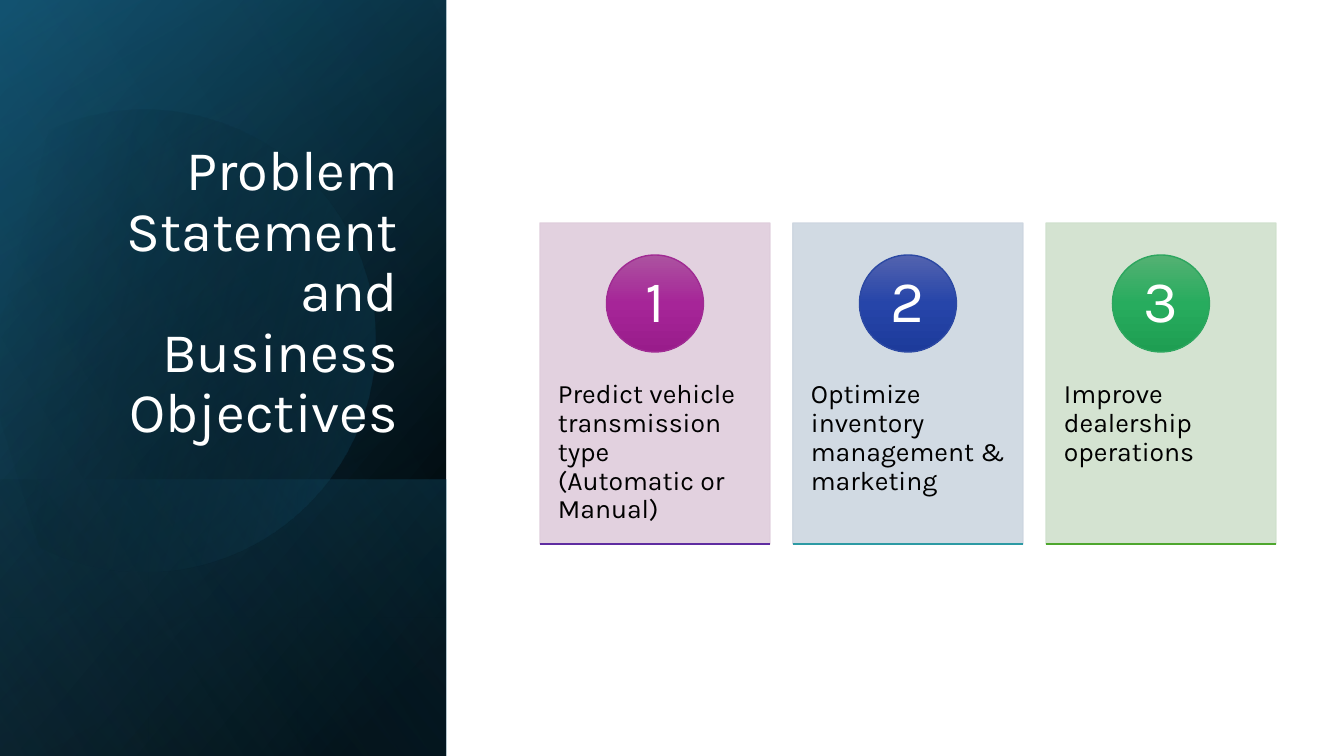
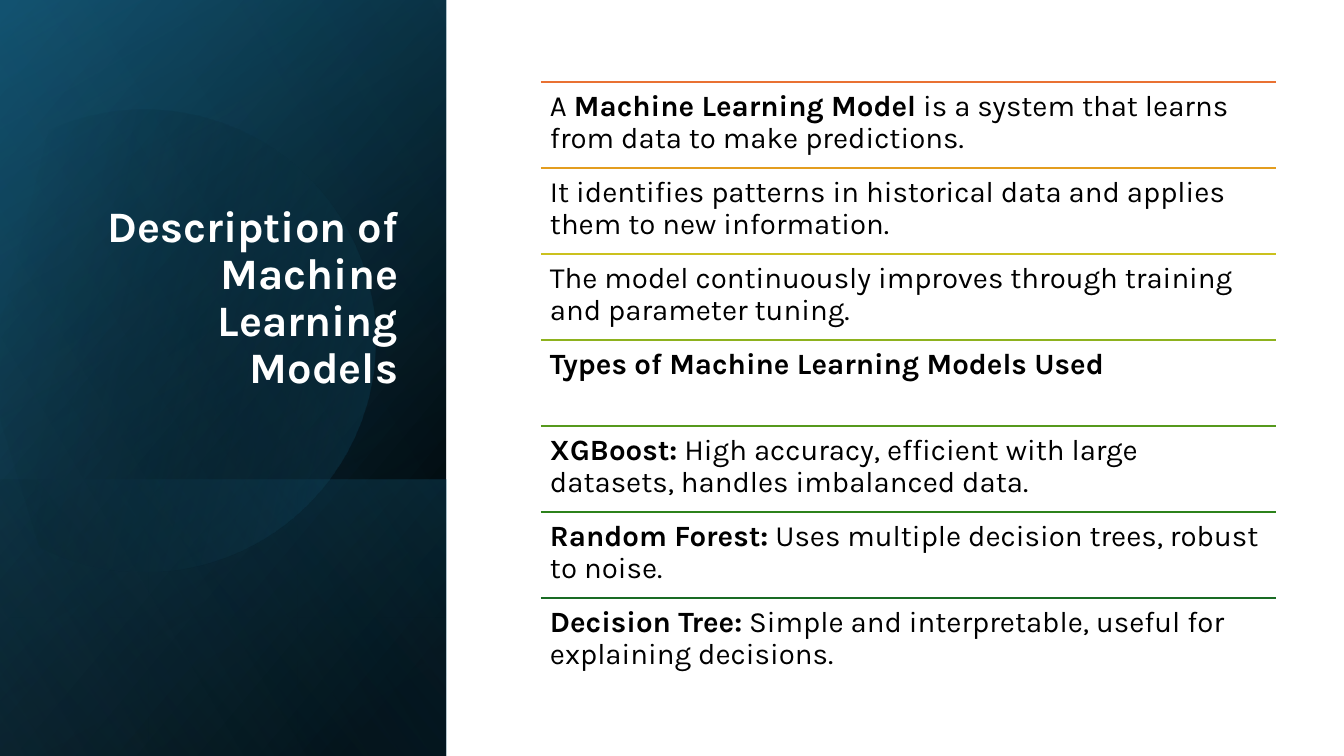
from dataclasses import dataclass

from lxml.etree import SubElement
from pptx import Presentation
from pptx.dml.color import RGBColor
from pptx.enum.shapes import MSO_CONNECTOR, MSO_SHAPE
from pptx.enum.text import MSO_ANCHOR, MSO_AUTO_SIZE, PP_ALIGN
from pptx.oxml import parse_xml
from pptx.oxml.ns import nsdecls, qn
from pptx.util import Emu, Pt

PX = 12192000 / 1344
SLIDE_WIDTH, SLIDE_HEIGHT = 1344, 756
PANEL_WIDTH = 446
TITLE_BOX = (64, 186, 344, 264)


@dataclass(frozen=True)
class Theme:
    font: str = "Karla"
    white: str = "FFFFFF"
    black: str = "000000"
    line_width: float = 1
    line_spacing: float = 0.9
    card_opacity: int = 90
    card_size: int = 19
    number_size: int = 42
    row_size: int = 21


THEME = Theme()

# Box, gradient stops (position %, colour, opacity %), angle
FULL_PANEL = (0, 0, PANEL_WIDTH, SLIDE_HEIGHT)
BASE_LAYERS = [
    (FULL_PANEL, [(8, "000000", 100), (100, "104862", 100)], 50),
    (FULL_PANEL, [(0, "000000", 0), (99, "156082", 46)], 30),
    ((0, 480, PANEL_WIDTH, 276), [(2, "156082", 29), (100, "000000", 30)], 130),
]
TOP_LAYER = (FULL_PANEL, [(0, "000000", 0), (99, "46B1E1", 11)], 120)

DISC_BOX = (-87, 110, 462, 462)
DISC_ARC = (-135, 133)
DISC_ROTATION = 343.9
DISC_STOPS, DISC_ANGLE = [(29, "000000", 0), (100, "156082", 43)], 30

OBJECTIVES_TITLE = ("Problem Statement and Business Objectives", 40, False, 5)
# Text, card colour, disc gradient, disc outline, underline
OBJECTIVES = [
    ("Predict vehicle transmission type (Automatic or Manual)",
     "DFCDDC", ("AC53A0", "A62598", "991C8B"), "A02B93", "5F2CA1"),
    ("Optimize inventory management & marketing",
     "CDD6E0", ("5363AF", "2645A9", "1D3B9B"), "2C49A3", "2D9AA4"),
    ("Improve dealership operations",
     "D0E1CD", ("54B173", "27AC5E", "1E9E52"), "2DA65F", "4EA72E"),
]
CARDS_LEFT, CARD_TOP, CARD_WIDTH, CARD_HEIGHT, CARD_GAP = 540, 223, 230, 321, 23
CARD_TEXT_TOP, CARD_TEXT_HEIGHT = 345, 193
CARD_INSETS = (18, 36, 18, 36)
NUMBER_TOP, NUMBER_SIDE = 255, 97
NUMBER_INSETS = (7, 1, 7, 1)

MODELS_TITLE = ("Description of Machine Learning Models", 31, True, 57)
# Line colour, runs (text, bold)
MODEL_ROWS = [
    ("E97132", [("A ", False), ("Machine Learning Model", True),
                (" is a system that learns from data to make predictions.", False)]),
    ("E39D1F", [("It identifies patterns in historical data and applies "
                 "them to new information.", False)]),
    ("CBC11E", [("The model continuously improves through training "
                 "and parameter tuning.", False)]),
    ("8EB21E", [("Types of Machine Learning Models Used", True)]),
    ("56991D", [("XGBoost:", True), (" High accuracy, efficient with large datasets, "
                                     "handles imbalanced data.", False)]),
    ("2C821B", [("Random Forest:", True),
                (" Uses multiple decision trees, robust to noise.", False)]),
    ("196B24", [("Decision Tree:", True),
                (" Simple and interpretable, useful for explaining decisions.", False)]),
]
ROWS_LEFT, ROWS_TOP, ROW_WIDTH, ROW_HEIGHT = 541, 82, 735, 86
ROW_INSETS = (9, 9, 9, 9)


def px(value):
    return Emu(round(value * PX))


def rgb(code):
    return RGBColor.from_string(code)


def write(shape, runs, size, color, insets, align=PP_ALIGN.LEFT, anchor=MSO_ANCHOR.TOP):
    """Fill a shape with one paragraph; runs are (text, bold) pairs."""
    frame = shape.text_frame
    frame.word_wrap = True
    frame.auto_size = MSO_AUTO_SIZE.NONE
    frame.vertical_anchor = anchor
    (frame.margin_left, frame.margin_top,
     frame.margin_right, frame.margin_bottom) = map(px, insets)
    paragraph = frame.paragraphs[0]
    paragraph.alignment = align
    paragraph.line_spacing = THEME.line_spacing
    for text, bold in runs:
        run = paragraph.add_run()
        run.text = text
        run.font.name = THEME.font
        run.font.size = Pt(size)
        run.font.bold = bold
        run.font.color.rgb = rgb(color)


def add_text(slide, box, *style):
    write(slide.shapes.add_textbox(*map(px, box)), *style)


def add_shape(slide, kind, box, line=None):
    shape = slide.shapes.add_shape(kind, *map(px, box))
    shape.shadow.inherit = False
    set_line(shape, line)
    return shape


def set_line(shape, color):
    if color is None:
        shape.line.fill.background()
    else:
        shape.line.color.rgb = rgb(color)
        shape.line.width = Pt(THEME.line_width)


def set_gradient(shape, stops, angle):
    """Stops are (position %, colour, opacity %); the angle runs clockwise."""
    stop_xml = "".join(
        f'<a:gs pos="{position * 1000}"><a:srgbClr val="{color}">'
        f'<a:alpha val="{opacity * 1000}"/></a:srgbClr></a:gs>'
        for position, color, opacity in stops)
    gradient = parse_xml(
        f'<a:gradFill {nsdecls("a")} rotWithShape="1"><a:gsLst>{stop_xml}</a:gsLst>'
        f'<a:lin ang="{angle * 60000}" scaled="0"/></a:gradFill>')
    shape.fill.background()
    properties = shape.element.spPr
    properties.replace(properties.find(qn("a:noFill")), gradient)


def set_opacity(shape, percent):
    for color in shape.element.spPr.iter(qn("a:srgbClr")):
        SubElement(color, qn("a:alpha")).set("val", str(percent * 1000))


def add_rule(slide, left, top, width, color):
    rule = slide.shapes.add_connector(
        MSO_CONNECTOR.STRAIGHT, px(left), px(top), px(left + width), px(top))
    set_line(rule, color)
    SubElement(rule.element.spPr, qn("a:effectLst"))


def add_layer(slide, box, stops, angle):
    """Add a rectangle turned by 90 degrees and mirrored that covers the box."""
    left, top, width, height = box
    offset = (width - height) / 2
    layer = add_shape(slide, MSO_SHAPE.RECTANGLE,
                      (left + offset, top - offset, height, width))
    layer.rotation = 90
    layer.element.spPr.get_or_add_xfrm().set("flipH", "1")
    set_gradient(layer, stops, angle)


def add_disc(slide):
    """Add the translucent disc with its flat left side."""
    disc = add_shape(slide, MSO_SHAPE.CHORD, DISC_BOX)
    for index, degrees in enumerate(DISC_ARC):
        disc.adjustments[index] = degrees % 360 * 60000 / 100000
    disc.rotation = DISC_ROTATION
    set_gradient(disc, DISC_STOPS, DISC_ANGLE)


def add_panel_slide(presentation, text, size, bold, bottom_inset):
    slide = presentation.slides.add_slide(presentation.slide_layouts[5])
    for layer in BASE_LAYERS:
        add_layer(slide, *layer)
    add_disc(slide)
    add_layer(slide, *TOP_LAYER)

    title = slide.shapes.title
    title.left, title.top, title.width, title.height = map(px, TITLE_BOX)
    write(title, [(text, bold)], size, THEME.white, (10, 5, 10, bottom_inset),
          PP_ALIGN.RIGHT, MSO_ANCHOR.BOTTOM)
    title.element.getparent().append(title.element)  # in front of the panel
    return slide


def add_objective(slide, index, text, card_color, shades, outline, underline):
    left = CARDS_LEFT + index * (CARD_WIDTH + CARD_GAP)
    card = add_shape(slide, MSO_SHAPE.RECTANGLE,
                     (left, CARD_TOP, CARD_WIDTH, CARD_HEIGHT), card_color)
    card.fill.solid()
    card.fill.fore_color.rgb = rgb(card_color)
    set_opacity(card, THEME.card_opacity)
    add_text(slide, (left, CARD_TEXT_TOP, CARD_WIDTH, CARD_TEXT_HEIGHT),
             [(text, False)], THEME.card_size, THEME.black, CARD_INSETS)

    number_left = left + (CARD_WIDTH - NUMBER_SIDE) / 2
    number = add_shape(slide, MSO_SHAPE.OVAL,
                       (number_left, NUMBER_TOP, NUMBER_SIDE, NUMBER_SIDE), outline)
    set_gradient(number, [(position, shade, 100)
                          for position, shade in zip((0, 50, 100), shades)], 90)
    write(number, [(str(index + 1), False)], THEME.number_size, THEME.white,
          NUMBER_INSETS, PP_ALIGN.CENTER, MSO_ANCHOR.MIDDLE)
    add_rule(slide, left, CARD_TOP + CARD_HEIGHT, CARD_WIDTH, underline)


def add_model_row(slide, index, color, runs):
    top = ROWS_TOP + index * ROW_HEIGHT
    add_rule(slide, ROWS_LEFT, top, ROW_WIDTH, color)
    add_text(slide, (ROWS_LEFT, top, ROW_WIDTH, ROW_HEIGHT),
             runs, THEME.row_size, THEME.black, ROW_INSETS)


def main():
    presentation = Presentation()
    presentation.slide_width = px(SLIDE_WIDTH)
    presentation.slide_height = px(SLIDE_HEIGHT)

    objectives_slide = add_panel_slide(presentation, *OBJECTIVES_TITLE)
    for index, objective in enumerate(OBJECTIVES):
        add_objective(objectives_slide, index, *objective)

    models_slide = add_panel_slide(presentation, *MODELS_TITLE)
    for index, row in enumerate(MODEL_ROWS):
        add_model_row(models_slide, index, *row)

    presentation.save("out.pptx")


if __name__ == "__main__":
    main()
